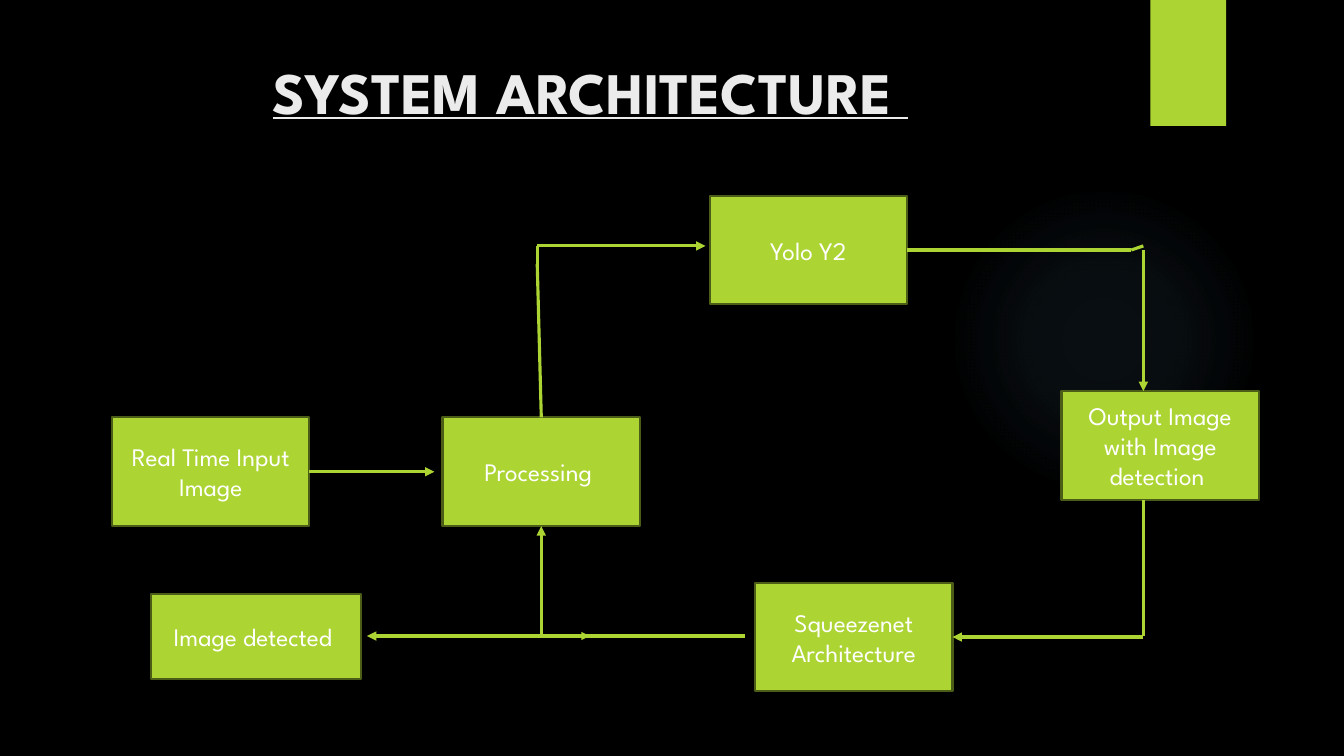
from lxml import etree
from pptx import Presentation
from pptx.dml.color import RGBColor
from pptx.enum.shapes import MSO_CONNECTOR, MSO_SHAPE
from pptx.enum.text import MSO_ANCHOR, PP_ALIGN
from pptx.oxml import parse_xml
from pptx.oxml.ns import nsdecls, qn
from pptx.util import Inches, Pt

COLORS = {
    "background": "000000",
    "lime": "ACD433",
    "border": "4B5D16",
    "title": "EBEBEB",
    "label": "FFFFFF",
    "glow": "7AC4F0",
}
TOP, BOTTOM, RIGHT = 0, 2, 3


def rgb(name):
    return RGBColor.from_string(COLORS[name])


class DiagramSlide:
    """Draws on a grid of 40 columns by 30 rows."""

    columns, rows = 40, 30
    font = "League Spartan"
    label_size, title_size = 18, 42

    def __init__(self, presentation):
        self.width = presentation.slide_width
        self.height = presentation.slide_height
        self.slide = presentation.slides.add_slide(presentation.slide_layouts[6])
        background = self.slide.background.fill
        background.solid()
        background.fore_color.rgb = rgb("background")

    def x(self, column):
        return round(self.width * column / self.columns)

    def y(self, row):
        return round(self.height * row / self.rows)

    def area(self, column, row, width, height):
        return self.x(column), self.y(row), self.x(width), self.y(height)

    def set_text(self, shape, text, size, color, anchor, bold=False, underline=False):
        frame = shape.text_frame
        frame.word_wrap = True
        frame.vertical_anchor = anchor
        paragraph = frame.paragraphs[0]
        paragraph.text = text
        paragraph.alignment = PP_ALIGN.CENTER
        font = paragraph.font
        font.name, font.size = self.font, Pt(size)
        font.bold, font.underline = bold, underline
        font.color.rgb = rgb(color)

    def title(self, text, *area):
        shape = self.slide.shapes.add_textbox(*self.area(*area))
        self.set_text(shape, text, self.title_size, "title", MSO_ANCHOR.TOP,
                      bold=True, underline=True)

    def block(self, *area, kind=MSO_SHAPE.RECTANGLE):
        shape = self.slide.shapes.add_shape(kind, *self.area(*area))
        shape.shadow.inherit = False
        shape.fill.solid()
        shape.fill.fore_color.rgb = rgb("lime")
        shape.line.fill.background()
        return shape

    def glow(self, *area):
        shape = self.block(*area, kind=MSO_SHAPE.OVAL)
        stops = "".join(
            f'<a:gs pos="{position * 1000}"><a:srgbClr val="{COLORS["glow"]}">'
            f'<a:alpha val="{alpha * 1000}"/></a:srgbClr></a:gs>'
            for position, alpha in ((0, 7), (36, 6), (69, 0), (100, 0)))
        gradient = parse_xml(
            f'<a:gradFill {nsdecls("a")}><a:gsLst>{stops}</a:gsLst>'
            '<a:path path="circle"><a:fillToRect l="50000" t="50000" r="50000" b="50000"/>'
            '</a:path></a:gradFill>')
        properties = shape.element.spPr
        properties.replace(properties.find(qn("a:solidFill")), gradient)

    def step(self, text, column, row, width=5.88, height=4.32):
        shape = self.block(column, row, width, height)
        shape.line.color.rgb = rgb("border")
        shape.line.width = Pt(1.5)
        self.set_text(shape, text, self.label_size, "label", MSO_ANCHOR.MIDDLE)
        return shape

    def connector(self, start, end, arrow=False, weight=2.25, begin_at=None, end_at=None):
        line = self.slide.shapes.add_connector(
            MSO_CONNECTOR.STRAIGHT, self.x(start[0]), self.y(start[1]),
            self.x(end[0]), self.y(end[1]))
        line.line.color.rgb = rgb("lime")
        line.line.width = Pt(weight)
        properties = line.element.spPr
        if arrow:
            etree.SubElement(properties.find(qn("a:ln")), qn("a:tailEnd"), type="triangle")
        etree.SubElement(properties, qn("a:effectLst"))
        if begin_at:
            line.begin_connect(*begin_at)
        if end_at:
            line.end_connect(*end_at)


def main():
    presentation = Presentation()
    presentation.slide_width, presentation.slide_height = Inches(13.33), Inches(7.5)
    diagram = DiagramSlide(presentation)

    # Backdrop and title
    diagram.glow(28.23, 7.32, 9.24, 12.32)
    diagram.block(34.24, 0, 2.25, 5)
    diagram.title("SYSTEM ARCHITECTURE ", 2.13, 2, 30.88, 6.12)

    # Steps
    camera = diagram.step("Real Time Input Image", 3.33, 16.56)
    processing = diagram.step("Processing ", 13.17, 16.56)
    yolo = diagram.step("Yolo Y2", 21.12, 7.76)
    diagram.step("Output Image with Image detection ", 31.59, 15.52)
    squeezenet = diagram.step("Squeezenet Architecture", 22.47, 23.12)
    diagram.step("Image detected ", 4.5, 23.56, 6.24, 3.4)

    # Input to processing, then up to detection
    middle, bend, drop, lower = 16.11, 15.99, 34.03, 25.24
    diagram.connector((9.21, 18.72), (12.93, 18.72), True, begin_at=(camera, RIGHT))
    diagram.connector((middle, 16.56), (bend, 10.48), begin_at=(processing, TOP))
    diagram.connector((bend, 9.76), (bend, 10.92))
    diagram.connector((bend, 9.76), (21, 9.76), True)

    # Detection to output
    diagram.connector((27, 9.92), (33.67, 9.92), begin_at=(yolo, RIGHT))
    diagram.connector((drop, 9.76), (33.67, 9.92))
    diagram.connector((drop, 9.92), (drop, 15.52), True)

    # Output to the network
    diagram.connector((drop, 19.84), (drop, lower))
    diagram.connector((drop, 25.28), (28.35, 25.28), True, end_at=(squeezenet, RIGHT))

    # Network back to processing and on to the result
    diagram.connector((22.17, lower), (middle, lower))
    diagram.connector((17.16, lower), (17.55, lower), True, weight=0.75)
    diagram.connector((middle, lower), (middle, 20.88), True, end_at=(processing, BOTTOM))
    diagram.connector((middle, lower), (10.92, lower), True)

    presentation.save("out.pptx")


if __name__ == "__main__":
    main()
